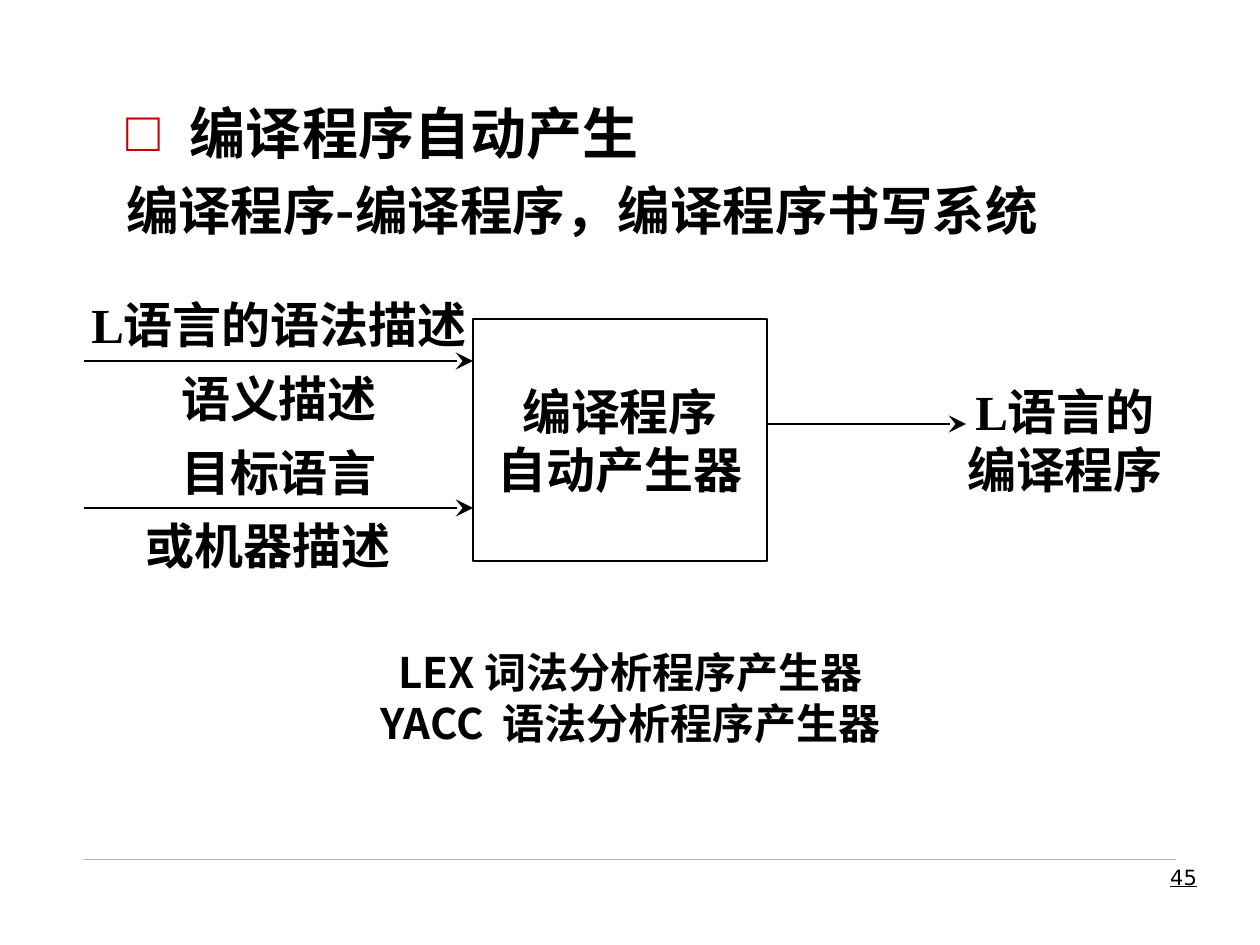
from lxml import etree
from pptx import Presentation
from pptx.dml.color import RGBColor
from pptx.enum.shapes import MSO_CONNECTOR, MSO_SHAPE
from pptx.enum.text import MSO_ANCHOR, MSO_AUTO_SIZE, PP_ALIGN
from pptx.oxml.ns import qn
from pptx.util import Emu, Pt

STRAIGHT = MSO_CONNECTOR.STRAIGHT
RECTANGLE = MSO_SHAPE.RECTANGLE
TOP, MIDDLE = MSO_ANCHOR.TOP, MSO_ANCHOR.MIDDLE
LEFT, CENTER, RIGHT = PP_ALIGN.LEFT, PP_ALIGN.CENTER, PP_ALIGN.RIGHT
BLACK = RGBColor(0x00, 0x00, 0x00)
GRAY = RGBColor(0xB2, 0xB2, 0xB2)
BULLET_RED = "CC0000"
SCALE = 914400 // 126

HEADING = {"name": "Noto Sans CJK SC", "size": Pt(32), "bold": True}
SUBHEADING = {**HEADING, "size": Pt(30)}
TOOL = {**HEADING, "size": Pt(24)}
LABEL = {"name": "Times New Roman", "size": Pt(28), "bold": True}
PAGE_NUMBER = {"name": "DejaVu Sans", "size": Pt(12), "underline": True}

BODY_AT = (113, 92, 1032, 164)
BODY = [
    ("编译程序自动产生", HEADING, "□", 0),
    ("编译程序-编译程序，编译程序书写系统", SUBHEADING, None, 7.5),
]
HANGING = 64

GENERATOR_AT = (473, 319, 294, 242)
GENERATOR = ["编译程序", "自动产生器"]
LABELS = [
    ((95, 287, 368, 74), ["L语言的语法描述"]),
    ((95, 361, 368, 74), ["语义描述"]),
    ((95, 435, 368, 74), ["目标语言"]),
    ((84, 508, 368, 74), ["或机器描述"]),
    ((955, 340, 220, 200), ["L语言的", "编译程序"]),
]
ARROWS = [(84, 473, 361), (84, 473, 508), (767, 966, 424)]

TOOLS_AT = (95, 641, 1071, 129)
TOOLS = ["LEX 词法分析程序产生器", "YACC  语法分析程序产生器"]
FOOTER_LINE = (84, 1176, 859)
NUMBER_AT = (937, 859, 273, 66)


def px(value):
    return Emu(value * SCALE)


def apply(target, values):
    for name, value in values.items():
        setattr(target, name, value)


def set_frame(frame, anchor, wrap, side):
    apply(frame, {
        "auto_size": MSO_AUTO_SIZE.NONE, "word_wrap": wrap, "vertical_anchor": anchor,
        "margin_left": side, "margin_right": side,
        "margin_top": px(6), "margin_bottom": px(6),
    })


def write(frame, lines, font, align):
    for index, line in enumerate(lines):
        paragraph = frame.paragraphs[0] if index == 0 else frame.add_paragraph()
        paragraph.text = line
        paragraph.alignment = align
        apply(paragraph.font, font)
        paragraph.font.color.rgb = BLACK


def add_text(slide, at, lines, font, align):
    frame = slide.shapes.add_textbox(*map(px, at)).text_frame
    set_frame(frame, TOP, True, px(13))
    write(frame, lines, font, align)


def add_label(slide, at, lines):
    frame = slide.shapes.add_textbox(*map(px, at)).text_frame
    set_frame(frame, MIDDLE, False, 0)
    write(frame, lines, LABEL, CENTER)


def add_line(slide, left, right, y, color, width, arrow=False):
    line = slide.shapes.add_connector(STRAIGHT, px(left), px(y), px(right), px(y))
    line.line.color.rgb = color
    line.line.width = Pt(width)
    properties = line._element.spPr
    if arrow:
        etree.SubElement(properties.find(qn("a:ln")), qn("a:tailEnd"), type="stealth", w="lg", len="lg")
    etree.SubElement(properties, qn("a:effectLst"))


def set_bullet(paragraph, character):
    properties = paragraph._p.get_or_add_pPr()
    hanging = px(HANGING)
    properties.set("marL", str(hanging))
    properties.set("indent", str(-hanging))
    if character:
        color = etree.SubElement(properties, qn("a:buClr"))
        etree.SubElement(color, qn("a:srgbClr"), val=BULLET_RED)
        etree.SubElement(properties, qn("a:buChar"), char=character)
    else:
        etree.SubElement(properties, qn("a:buNone"))


def fill_body(slide):
    body = slide.placeholders[1]
    apply(body, dict(zip(("left", "top", "width", "height"), map(px, BODY_AT))))
    frame = body.text_frame
    set_frame(frame, TOP, True, px(13))
    for index, (text, font, bullet, space) in enumerate(BODY):
        paragraph = frame.paragraphs[0] if index == 0 else frame.add_paragraph()
        paragraph.text = text
        paragraph.alignment = LEFT
        paragraph.space_before = Pt(space)
        set_bullet(paragraph, bullet)
        apply(paragraph.font, font)
        paragraph.font.color.rgb = BLACK


def add_generator(slide):
    shape = slide.shapes.add_shape(RECTANGLE, *map(px, GENERATOR_AT))
    shape.shadow.inherit = False
    shape.fill.background()
    shape.line.color.rgb = BLACK
    shape.line.width = Pt(1)
    set_frame(shape.text_frame, MIDDLE, False, 0)
    write(shape.text_frame, GENERATOR, LABEL, CENTER)


def main():
    presentation = Presentation()
    presentation.slide_width, presentation.slide_height = px(1260), px(945)
    slide = presentation.slides.add_slide(presentation.slide_layouts[1])
    title = slide.shapes.title._element
    title.getparent().remove(title)

    add_line(slide, *FOOTER_LINE, GRAY, 0.25)
    fill_body(slide)
    add_text(slide, TOOLS_AT, TOOLS, TOOL, CENTER)
    add_generator(slide)
    for at, lines in LABELS:
        add_label(slide, at, lines)
    for left, right, y in ARROWS:
        add_line(slide, left, right, y, BLACK, 1, arrow=True)
    add_text(slide, NUMBER_AT, ["45"], PAGE_NUMBER, RIGHT)
    presentation.save("out.pptx")


if __name__ == "__main__":
    main()
